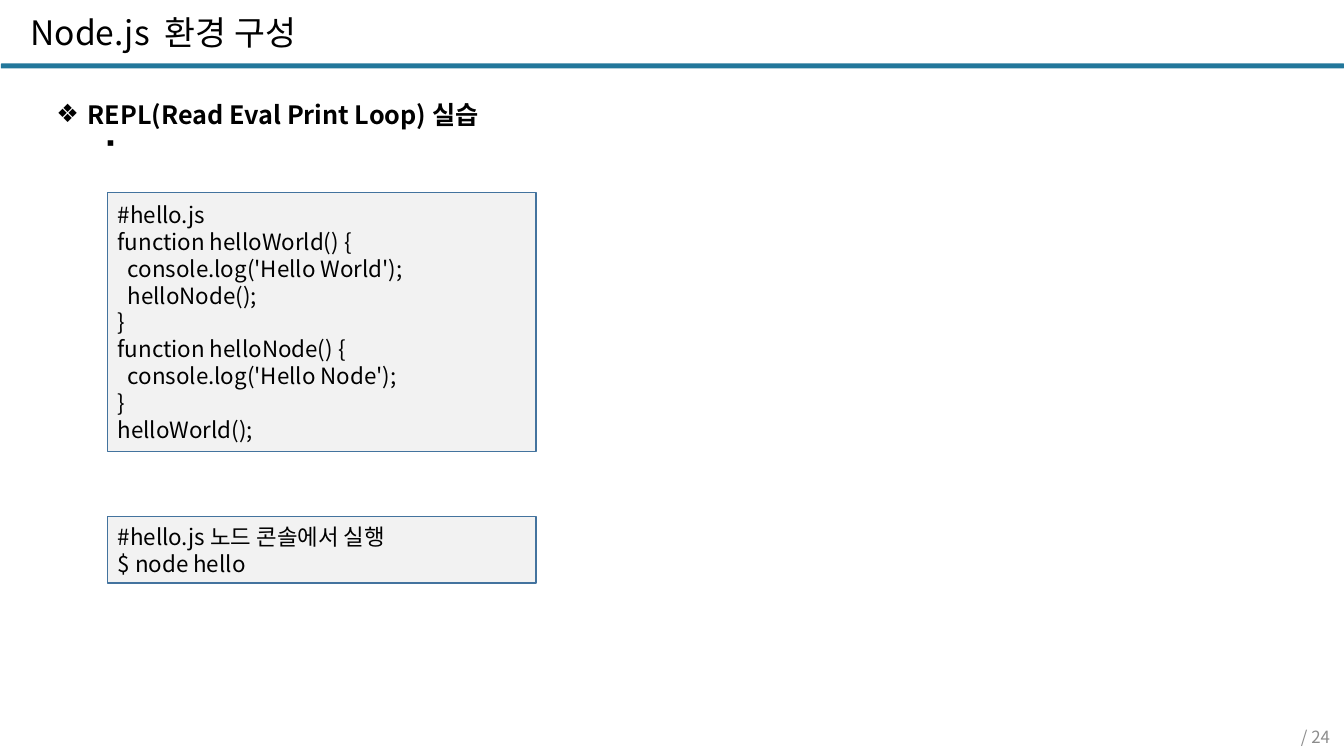
"""Build the Node.js REPL practice slide."""
from lxml import etree
from pptx import Presentation
from pptx import util as u
from pptx.dml.color import RGBColor
from pptx.enum import shapes, text
from pptx.oxml.ns import qn

COLORS = {"ink": "000000", "bar": "22779B", "code": "F2F2F2",
          "edge": "43739E", "muted": "8C8C8C"}
FONT = "Noto Sans CJK KR"
HELLO_CODE = """#hello.js
function helloWorld() {
  console.log('Hello World');
  helloNode();
}
function helloNode() {
  console.log('Hello Node');
}
helloWorld();"""
RUN_CODE = """#hello.js 노드 콘솔에서 실행
$ node hello"""


def color(name):
    """Look up a palette colour."""
    return RGBColor.from_string(COLORS[name])


def apply(target, values):
    """Set attributes from a dict of format values."""
    for key, value in values.items():
        setattr(target, key, value)


def place(part, left, top, width, height):
    """Position a shape in points."""
    apply(part, {"left": u.Pt(left), "top": u.Pt(top),
                 "width": u.Pt(width), "height": u.Pt(height)})


def write(paragraph, wording, size, ink="ink", bold=False, **layout):
    """Write one run in the slide's font."""
    apply(paragraph, {"alignment": text.PP_ALIGN.LEFT, "line_spacing": 1.0,
                      "space_before": u.Pt(0), **layout})
    run = paragraph.add_run()
    run.text = wording
    apply(run.font, {"size": u.Pt(size), "bold": bold, "name": FONT})
    run.font.color.rgb = color(ink)
    etree.SubElement(run.font._element, qn("a:ea"), typeface=FONT)


def add_bullet(paragraph, mark, indent):
    """Give a paragraph a hanging bullet."""
    properties = paragraph._p.get_or_add_pPr()
    properties.set("marL", str(u.Pt(indent)))
    properties.set("indent", str(-u.Pt(22.5)))
    etree.SubElement(properties, qn("a:buChar"), char=mark)


def add_title(slide, wording):
    """Fill the title placeholder."""
    title = slide.shapes.title
    place(title, 14.5, 8.5, 569, 34)
    apply(title.text_frame, {"vertical_anchor": text.MSO_ANCHOR.TOP,
                             "auto_size": text.MSO_AUTO_SIZE.NONE})
    write(title.text_frame.paragraphs[0], wording, 24, line_spacing=0.9)


def add_topics(slide, topics):
    """Fill the body placeholder with bulleted topics."""
    body = slide.placeholders[1]
    place(body, 33, 67, 790, 90)
    frame = body.text_frame
    frame.auto_size = text.MSO_AUTO_SIZE.NONE
    for level, (mark, indent, wording, size, bold) in enumerate(topics):
        topic = frame.add_paragraph() if level else frame.paragraphs[0]
        add_bullet(topic, mark, indent)
        write(topic, wording, size, bold=bold, level=level)


def add_panel(slide, kind, box, fill, edge=None):
    """Add a flat filled shape with an optional outline."""
    panel = slide.shapes.add_shape(kind, *map(u.Pt, box))
    panel.shadow.inherit = False
    panel.fill.solid()
    panel.fill.fore_color.rgb = color(fill)
    if edge:
        panel.line.color.rgb = color(edge)
        panel.line.width = u.Pt(1)
    else:
        panel.line.fill.background()
    return panel


def add_code(slide, top, height, code):
    """Add a panel of code lines."""
    panel = add_panel(slide, shapes.MSO_SHAPE.RECTANGLE,
                      (77, top, 306, height), "code", "edge")
    frame = panel.text_frame
    apply(frame, {"vertical_anchor": text.MSO_ANCHOR.MIDDLE, "word_wrap": True})
    for number, line in enumerate(code.splitlines()):
        write(frame.add_paragraph() if number else frame.paragraphs[0], line, 16)


def add_page_count(slide, wording):
    """Add the page count at the lower right."""
    count = slide.shapes.add_textbox(*map(u.Pt, (736, 517.5, 224, 17)))
    apply(count.text_frame, {"vertical_anchor": text.MSO_ANCHOR.MIDDLE,
                             "word_wrap": True, "margin_right": u.Pt(10)})
    write(count.text_frame.paragraphs[0], wording, 12, "muted",
          alignment=text.PP_ALIGN.RIGHT)


def main():
    """Assemble and save the slide."""
    deck = Presentation()
    apply(deck, {"slide_width": u.Pt(960), "slide_height": u.Pt(540)})
    slide = deck.slides.add_slide(deck.slide_layouts[1])
    rule = add_panel(slide, shapes.MSO_SHAPE.ROUNDED_RECTANGLE,
                     (0.7, 45.3, 959.3, 3.6), "bar")
    rule.adjustments[0] = 0.13
    add_page_count(slide, "/ 24")
    add_title(slide, "Node.js  환경 구성")
    add_topics(slide, [("❖", 22.5, "REPL(Read Eval Print Loop) 실습", 18, True),
                       ("▪", 58.5, " ", 16, False)])
    add_code(slide, 137.5, 185, HELLO_CODE)
    add_code(slide, 369, 47.5, RUN_CODE)
    deck.save("out.pptx")


if __name__ == "__main__":
    main()
